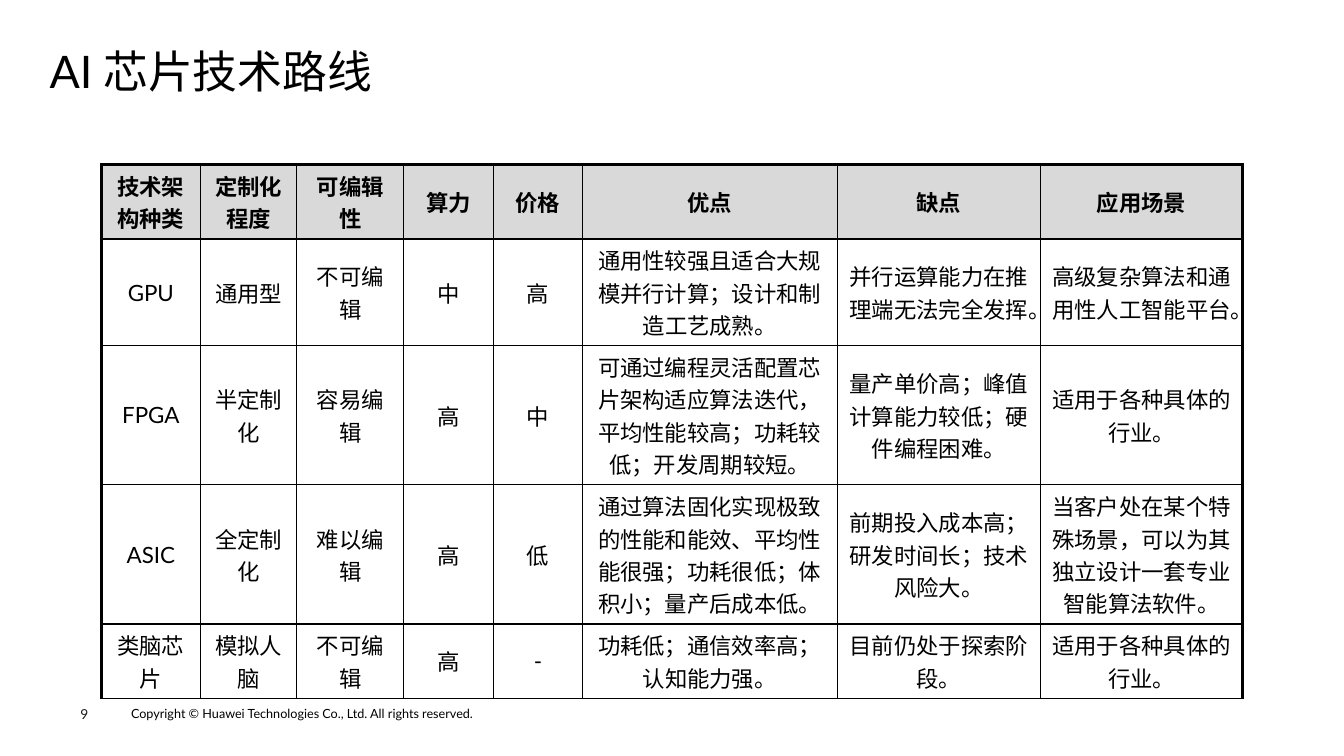
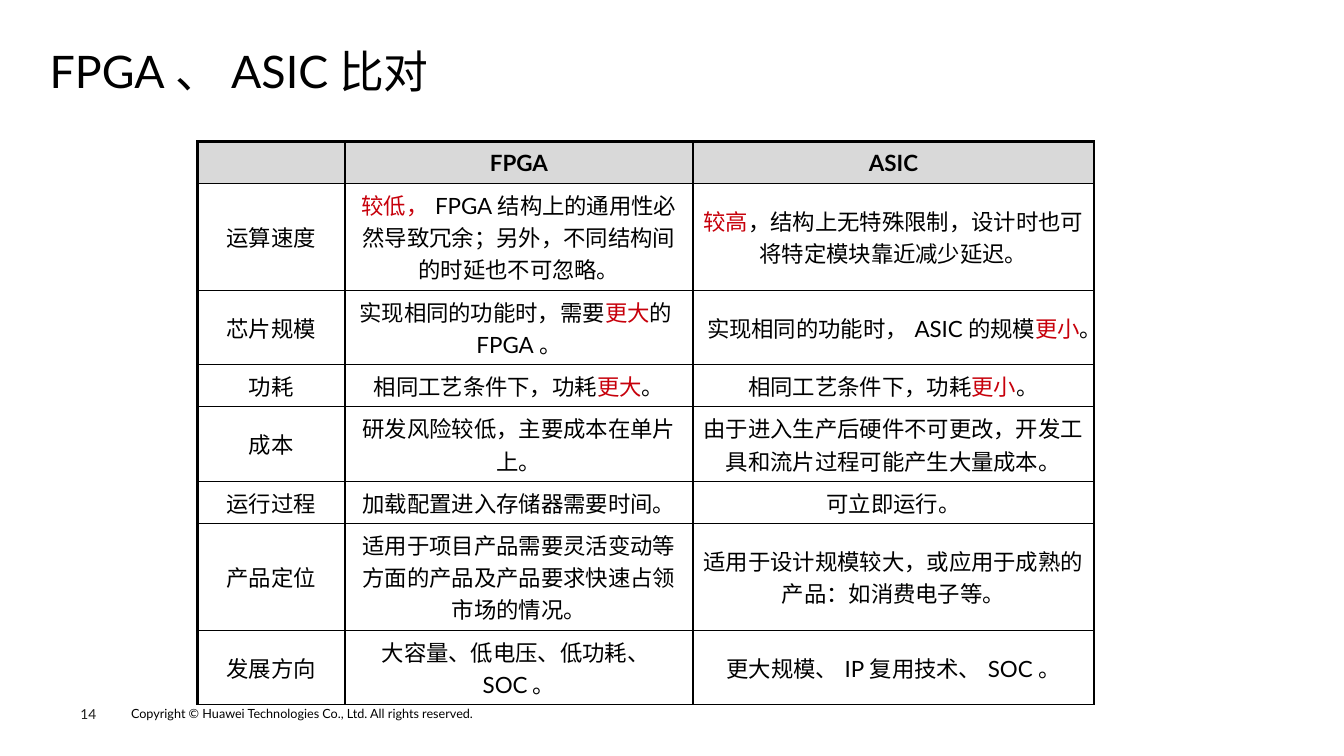
from pptx import Presentation
from pptx.dml.color import RGBColor
from pptx.enum.text import MSO_ANCHOR, PP_ALIGN
from pptx.oxml.ns import qn
from pptx.util import Pt
from lxml import etree

MIDDLE = MSO_ANCHOR.MIDDLE
TOP = MSO_ANCHOR.TOP
CENTER = PP_ALIGN.CENTER

FONT = "Lato"
BLACK = "000000"
PAGE_GREY = "1D1D1B"
HEADER_GREY = "D9D9D9"
RED = "C7000B"
THIN, THICK = 1, 2.25
ROW_PADDING, LINE_HEIGHT = 7, 23.1
COPYRIGHT = "Copyright © Huawei Technologies Co., Ltd. All rights reserved."

# Each row starts with its number of text lines.
# Text between two bars is shown in red.
CHIP_ROUTES = [
    (2, ["技术架构种类", "定制化程度", "可编辑性", "算力", "价格", "优点", "缺点", "应用场景"]),
    (3, ["GPU", "通用型", "不可编辑", "中", "高",
         "通用性较强且适合大规模并行计算；设计和制造工艺成熟。",
         "并行运算能力在推理端无法完全发挥。",
         "高级复杂算法和通用性人工智能平台。"]),
    (4, ["FPGA", "半定制化", "容易编辑", "高", "中",
         "可通过编程灵活配置芯片架构适应算法迭代，平均性能较高；功耗较低；开发周期较短。",
         "量产单价高；峰值计算能力较低；硬件编程困难。",
         "适用于各种具体的行业。"]),
    (4, ["ASIC", "全定制化", "难以编辑", "高", "低",
         "通过算法固化实现极致的性能和能效、平均性能很强；功耗很低；体积小；量产后成本低。",
         "前期投入成本高；研发时间长；技术风险大。",
         "当客户处在某个特殊场景，可以为其独立设计一套专业智能算法软件。"]),
    (2, ["类脑芯片", "模拟人脑", "不可编辑", "高", "-",
         "功耗低；通信效率高；认知能力强。",
         "目前仍处于探索阶段。",
         "适用于各种具体的行业。"]),
]
FPGA_ASIC = [
    (1, ["", "FPGA", "ASIC"]),
    (3, ["运算速度",
         "|较低，|FPGA结构上的通用性必然导致冗余；另外，不同结构间的时延也不可忽略。",
         "|较高|，结构上无特殊限制，设计时也可将特定模块靠近减少延迟。"]),
    (2, ["芯片规模", "实现相同的功能时，需要|更大|的FPGA。",
         "实现相同的功能时，ASIC的规模|更小|。"]),
    (1, ["功耗", "相同工艺条件下，功耗|更大|。", "相同工艺条件下，功耗|更小|。"]),
    (2, ["成本", "研发风险较低，主要成本在单片上。",
         "由于进入生产后硬件不可更改，开发工具和流片过程可能产生大量成本。"]),
    (1, ["运行过程", "加载配置进入存储器需要时间。", "可立即运行。"]),
    (3, ["产品定位",
         "适用于项目产品需要灵活变动等方面的产品及产品要求快速占领市场的情况。",
         "适用于设计规模较大，或应用于成熟的产品：如消费电子等。"]),
    (2, ["发展方向", "大容量、低电压、低功耗、SOC。", "更大规模、IP复用技术、SOC。"]),
]


def color(value):
    return RGBColor.from_string(value)


class SlideWriter:
    def __init__(self, deck):
        self.deck = deck
        self.slide = None

    def page(self, title, number):
        """Start a slide with its title and footer."""
        self.slide = self.deck.slides.add_slide(self.deck.slide_layouts[6])
        self.text(COPYRIGHT, 86.5, 500.5, 361, 18, 9, margins=(7.2, 3.6))
        self.text(str(number), 57.5, 504, 39.5, 11.5, 9.8, PAGE_GREY)
        heading = self.text(title, 35.5, 33.5, 889, 39, 32, anchor=MIDDLE)
        heading.line_spacing = 0.9

    def style(self, span, size, fill=BLACK, bold=False):
        span.font.name = FONT
        span.font.size = Pt(size)
        span.font.bold = bold
        span.font.color.rgb = color(fill)

    def text(self, words, left, top, width, height, size, fill=BLACK,
             margins=(0, 0), anchor=TOP):
        box = self.slide.shapes.add_textbox(Pt(left), Pt(top), Pt(width), Pt(height))
        frame = box.text_frame
        frame.text = words
        frame.word_wrap = True
        frame.vertical_anchor = anchor
        frame.margin_left = frame.margin_right = Pt(margins[0])
        frame.margin_top = frame.margin_bottom = Pt(margins[1])
        para = frame.paragraphs[0]
        self.style(para.runs[0], size, fill)
        return para

    def table(self, rows, left, top, widths, right_edge):
        """Draw a table whose first row is its header; right_edge is a line width."""
        heights = [ROW_PADDING + LINE_HEIGHT * lines for lines, _ in rows]
        shape = self.slide.shapes.add_table(
            len(rows), len(widths), Pt(left), Pt(top),
            Pt(sum(widths)), Pt(sum(heights)))
        table = shape.table
        table.first_row = table.horz_banding = False
        for column, width in zip(table.columns, widths):
            column.width = Pt(width)
        for r, (_, words) in enumerate(rows):
            table.rows[r].height = Pt(heights[r])
            for c, content in enumerate(words):
                cell = table.cell(r, c)
                self.borders(cell, {
                    "lnL": THICK if c == 0 else THIN,
                    "lnR": right_edge if c == len(widths) - 1 else THIN,
                    "lnT": THICK if r == 0 else THIN,
                    "lnB": THIN})
                self.cell(cell, content, header=r == 0)

    def borders(self, cell, weights):
        properties = cell._tc.get_or_add_tcPr()
        for side, weight in weights.items():
            line = etree.SubElement(properties, qn("a:" + side), w=str(Pt(weight)))
            fill = etree.SubElement(line, qn("a:solidFill"))
            etree.SubElement(fill, qn("a:srgbClr"), val=BLACK)

    def cell(self, cell, content, header):
        if header:
            cell.fill.solid()
            cell.fill.fore_color.rgb = color(HEADER_GREY)
        else:
            cell.fill.background()
        cell.vertical_anchor = MIDDLE
        para = cell.text_frame.paragraphs[0]
        para.alignment = CENTER
        for index, part in enumerate(content.split("|")):
            if part:
                span = para.add_run()
                span.text = part
                self.style(span, 16, RED if index % 2 else BLACK, header)


def main():
    deck = Presentation()
    deck.slide_width, deck.slide_height = Pt(960), Pt(540)
    writer = SlideWriter(deck)

    writer.page("AI芯片技术路线", 9)
    writer.table(CHIP_ROUTES, 72.5, 117.5,
                 [70.5, 69, 76.5, 64, 63.5, 182, 145.5, 144], THICK)

    writer.page("FPGA、ASIC比对", 14)
    writer.table(FPGA_ASIC, 141, 101, [105.5, 248.5, 286.5], THIN)

    deck.save("out.pptx")


if __name__ == "__main__":
    main()
